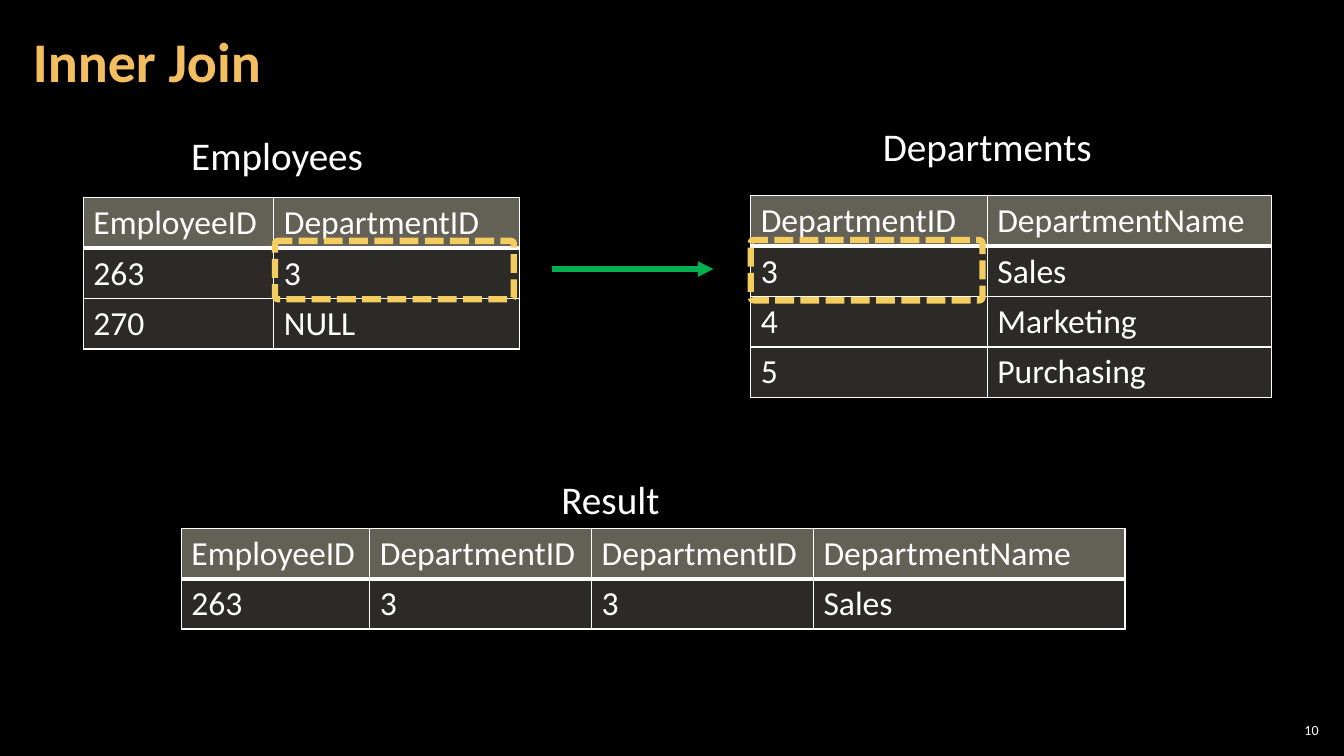
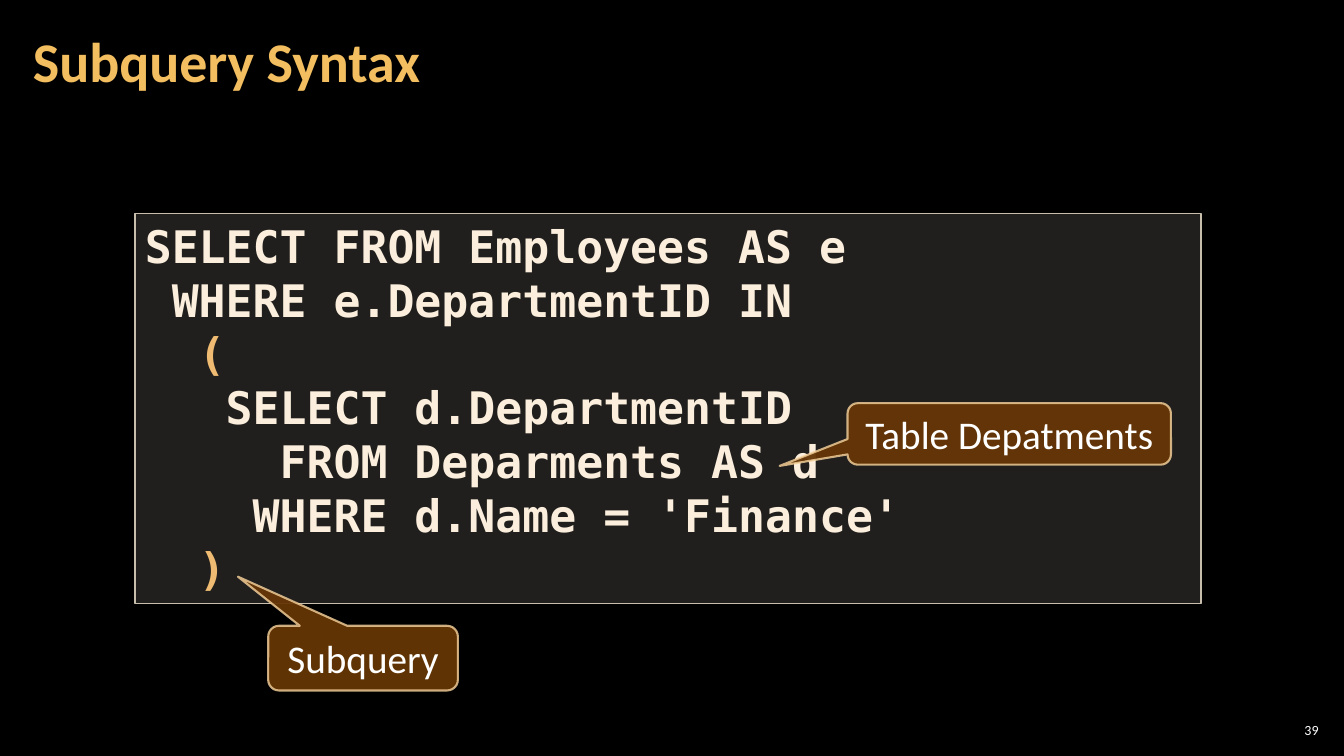
from dataclasses import dataclass

from lxml import etree
from pptx import Presentation
from pptx.dml.color import RGBColor
from pptx.enum.dml import MSO_LINE
from pptx.enum.shapes import MSO_CONNECTOR, MSO_SHAPE
from pptx.enum.text import MSO_ANCHOR, MSO_AUTO_SIZE, PP_ALIGN
from pptx.oxml.ns import qn
from pptx.util import Cm, Pt

LEFT, MID, RIGHT = PP_ALIGN.LEFT, PP_ALIGN.CENTER, PP_ALIGN.RIGHT
TOP, CENTRE = MSO_ANCHOR.TOP, MSO_ANCHOR.MIDDLE
RECT, ROUND = MSO_SHAPE.RECTANGLE, MSO_SHAPE.ROUNDED_RECTANGLE
BUBBLE = MSO_SHAPE.ROUNDED_RECTANGULAR_CALLOUT
STRAIGHT, DASH = MSO_CONNECTOR.STRAIGHT, MSO_LINE.SQUARE_DOT
GROW = MSO_AUTO_SIZE.SHAPE_TO_FIT_TEXT


@dataclass(frozen=True)
class Theme:
    # Fonts
    sans: str = "Calibri"
    mono: str = "DejaVu Sans Mono"
    # Colours
    back: str = "000000"
    text: str = "FFFFFF"
    title: str = "F3BE60"
    head: str = "C6C0AA"
    body: str = "D9D5C7"
    mark: str = "F3CD60"
    arrow: str = "00B050"
    code: str = "FBEEDC"
    accent: str = "EFBB72"
    edge: str = "C7BFAC"
    bubble: str = "663606"
    rim: str = "F8D49E"
    # Type sizes
    big: int = 40
    query: int = 32
    label: int = 28
    cell: int = 24
    small: int = 10


T = Theme()


def rgb(code):
    return RGBColor.from_string(code)


def style(par, size, color=T.text, bold=False, font=T.sans, align=LEFT):
    par.alignment = align
    for run in par.runs:
        run.font.name, run.font.size = font, Pt(size)
        run.font.bold, run.font.color.rgb = bold, rgb(color)


def fade(node, share):
    """Make the solid fill directly under node partly transparent."""
    color = node.find(qn("a:solidFill")).find(qn("a:srgbClr"))
    etree.SubElement(color, qn("a:alpha")).set("val", str(share * 1000))


def paint(item, color, share):
    item.fill.solid()
    item.fill.fore_color.rgb = rgb(color)


def add_text(slide, text, box, size, color=T.text, bold=False,
             align=LEFT, anchor=TOP, pad=None, wrap=True):
    frame = slide.shapes.add_textbox(*map(Cm, box)).text_frame
    frame.text, frame.word_wrap = text, wrap
    frame.vertical_anchor = anchor
    if pad:
        frame.margin_left = frame.margin_right = Cm(pad)
        frame.margin_top = frame.margin_bottom = Cm(0.1)
    style(frame.paragraphs[0], size, color, bold, align=align)
    return frame


def add_label(slide, text, box):
    add_text(slide, text, box, T.label, wrap=False).auto_size = GROW


def add_shape(slide, kind, box, line, width, fill=None, share=100):
    shape = slide.shapes.add_shape(kind, *map(Cm, box))
    shape.shadow.inherit = False
    shape.line.color.rgb, shape.line.width = rgb(line), Pt(width)
    if fill:
        paint(shape, fill, share)
        fade(shape.element.spPr, share)
    else:
        shape.fill.background()
    return shape


def add_border(cell, low):
    props = cell._tc.get_or_add_tcPr()
    for spot, side in enumerate("LRTB"):
        line = etree.Element(qn(f"a:ln{side}"))
        line.set("w", str(Pt(low if side == "B" else 1)))
        fill = etree.SubElement(line, qn("a:solidFill"))
        etree.SubElement(fill, qn("a:srgbClr")).set("val", T.text)
        props.insert(spot, line)


def add_grid(slide, left, top, widths, rows):
    high = 1.27
    box = left, top, sum(widths), high * len(rows)
    table = slide.shapes.add_table(len(rows), len(widths), *map(Cm, box)).table
    table.horz_banding = False
    for col, width in zip(table.columns, widths):
        col.width = Cm(width)
    for i, row in enumerate(rows):
        table.rows[i].height = Cm(high)
        color, share, low = (T.body, 20, 1) if i else (T.head, 50, 3)
        for j, text in enumerate(row):
            cell = table.cell(i, j)
            cell.text = text
            style(cell.text_frame.paragraphs[0], T.cell)
            paint(cell, color, share)
            fade(cell._tc.tcPr, share)
            add_border(cell, low)


def add_mark(slide, box):
    shape = add_shape(slide, ROUND, box, T.mark, 4.5)
    shape.adjustments[0] = 0.05
    shape.line.dash_style = DASH


def add_arrow(slide, start, end, y):
    arrow = slide.shapes.add_connector(STRAIGHT, *map(Cm, (start, y, end, y)))
    arrow.line.color.rgb, arrow.line.width = rgb(T.arrow), Pt(3.75)
    props = arrow.element.spPr
    etree.SubElement(props.find(qn("a:ln")), qn("a:tailEnd")).set("type", "triangle")
    etree.SubElement(props, qn("a:effectLst"))


def add_code(slide, box, lines):
    shape = add_shape(slide, RECT, box, T.edge, 1, T.body, 15)
    frame = shape.text_frame
    frame.text, frame.word_wrap = "\n".join(lines), True
    frame.vertical_anchor = TOP
    for par in frame.paragraphs:
        color = T.accent if par.text.strip() in "()" else T.code
        style(par, T.query, color, True, T.mono)


def add_bubble(slide, text, box, tip):
    shape = add_shape(slide, BUBBLE, box, T.rim, 1.5, T.bubble, 95)
    fade(shape.element.spPr.find(qn("a:ln")), 80)
    shape.adjustments[0], shape.adjustments[1] = tip
    frame = shape.text_frame
    frame.text, frame.word_wrap = text, True
    frame.vertical_anchor = CENTRE
    style(frame.paragraphs[0], T.label, align=MID)


def add_slide(deck, title, page):
    slide = deck.slides.add_slide(deck.slide_layouts[6])
    add_text(slide, title, (0.53, 0.1, 26.6, 3.07), T.big, T.title, True,
             anchor=CENTRE, pad=0.3).paragraphs[0].line_spacing = 0.9
    add_text(slide, page, (32.13, 18.13, 1.2, 0.54), T.small,
             align=RIGHT, anchor=CENTRE, pad=0.1)
    return slide


def join_slide(deck):
    slide = add_slide(deck, "Inner Join", "10")
    # Source tables
    add_label(slide, "Employees", (4.57, 3.18, 4.88, 1.45))
    add_grid(slide, 2.1, 4.98, (4.8, 6.2), (
        ("EmployeeID", "DepartmentID"), ("263", "3"), ("270", "NULL")))
    add_label(slide, "Departments", (22, 2.97, 5.84, 1.45))
    add_grid(slide, 18.92, 4.93, (5.96, 7.16), (
        ("DepartmentID", "DepartmentName"), ("3", "Sales"),
        ("4", "Marketing"), ("5", "Purchasing")))
    # Joined rows
    add_label(slide, "Result", (13.9, 11.86, 3.02, 1.45))
    add_grid(slide, 4.57, 13.31, (4.75, 5.59, 5.59, 7.85), (
        ("EmployeeID", "DepartmentID", "DepartmentID", "DepartmentName"),
        ("263", "3", "3", "Sales")))
    # Matching keys
    add_arrow(slide, 13.9, 17.98, 6.78)
    add_mark(slide, (6.93, 6.07, 6.02, 1.47))
    add_mark(slide, (18.92, 6.05, 5.84, 1.52))


def query_slide(deck):
    slide = add_slide(deck, "Subquery Syntax", "39")
    # Query text
    add_code(slide, (3.4, 5.38, 26.87, 9.83), (
        "SELECT FROM Employees AS e",
        " WHERE e.DepartmentID IN",
        "  (",
        "   SELECT d.DepartmentID",
        "     FROM Deparments AS d",
        "    WHERE d.Name = 'Finance'",
        "  )"))
    # Callouts
    add_bubble(slide, "Table Depatments", (21.36, 10.16, 8.15, 1.55), (-0.71, 0.52))
    add_bubble(slide, "Subquery", (6.76, 15.77, 4.78, 1.63), (-0.66, -1.26))


def main():
    deck = Presentation()
    deck.slide_width, deck.slide_height = Cm(33.87), Cm(19.05)
    paint(deck.slide_master.background, T.back, 100)
    join_slide(deck)
    query_slide(deck)
    deck.save("out.pptx")


if __name__ == "__main__":
    main()
